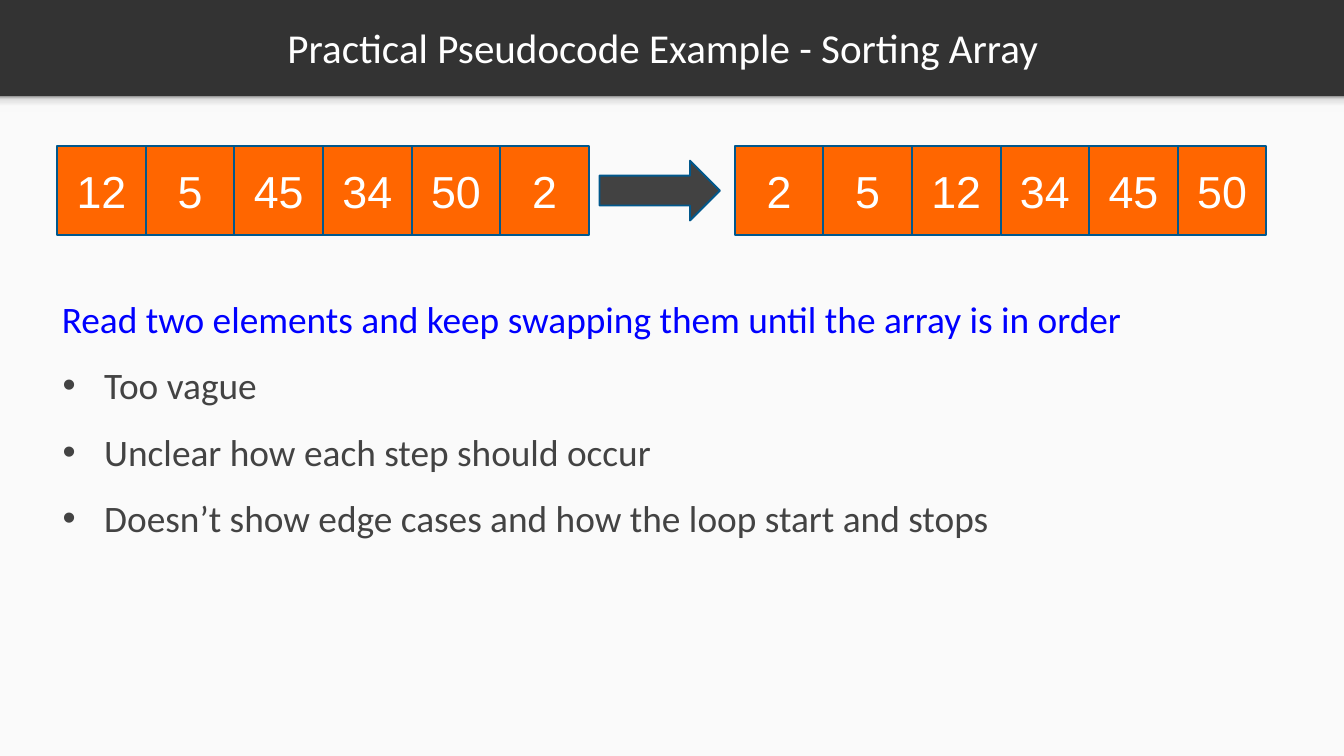
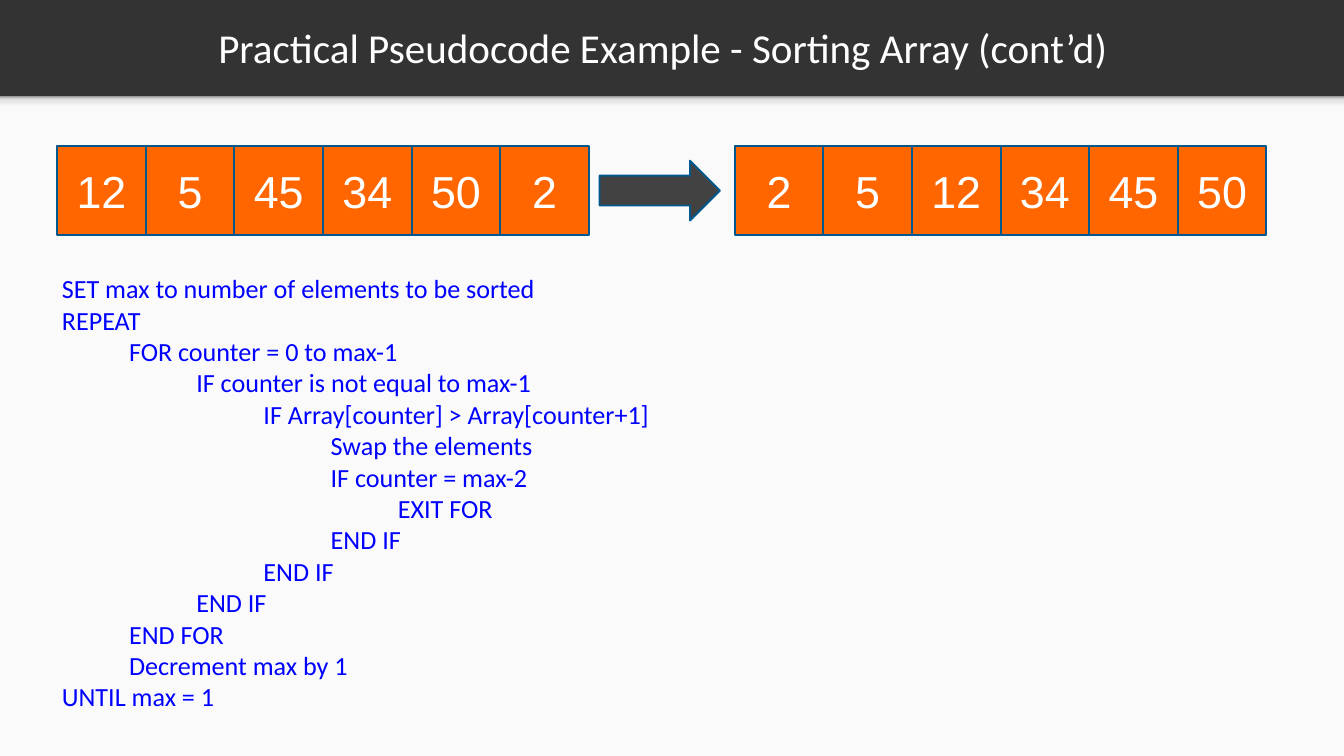
from dataclasses import dataclass

from lxml.etree import SubElement
from pptx import Presentation
from pptx.dml.color import RGBColor
from pptx.enum.shapes import MSO_SHAPE
from pptx.enum.text import MSO_ANCHOR, PP_ALIGN
from pptx.oxml.ns import qn
from pptx.util import Cm, Pt


@dataclass(frozen=True)
class Theme:
    """Colours, fonts and type sizes of the deck."""
    header: str = "333333"
    panel: str = "FAFAFA"
    white: str = "FFFFFF"
    pseudocode: str = "0000FF"
    bullet: str = "434343"
    cell: str = "FF6600"
    arrow: str = "424242"
    outline: str = "01588C"
    header_shadow: tuple = ((0, "F9F9F9"), (36, "F9F9F9"), (80, "DEDEDE"), (100, "999999"))
    text_font: str = "Calibri"
    cell_font: str = "Arial"
    title_size: int = 44
    body_size: int = 40
    code_size: int = 28
    cell_size: int = 48


WIDTH, HEIGHT = 50.8, 28.56
HEADER_HEIGHT = 3.66
CELL = 3.35
ARRAY_TOP = 5.52
TEXT_LEFT, TEXT_WIDTH = 1.27, 48.44
INSET = 0.51
MARGIN = 0.56
BULLET_MARGIN, BULLET_INDENT = 2.16, -1.57
CODE_STEP = 2.54

UNSORTED = [12, 5, 45, 34, 50, 2]
VAGUE_STEP = "Read two elements and keep swapping them until the array is in order"
PROBLEMS = [
    "Too vague",
    "Unclear how each step should occur",
    "Doesn’t show edge cases and how the loop start and stops",
]
PSEUDOCODE = [
    (0, "SET max to number of elements to be sorted"),
    (0, "REPEAT"),
    (1, "FOR counter = 0 to max-1"),
    (2, "IF counter is not equal to max-1"),
    (3, "IF Array[counter] > Array[counter+1]"),
    (4, "Swap the elements"),
    (4, "IF counter = max-2"),
    (5, "EXIT FOR"),
    (4, "END IF"),
    (3, "END IF"),
    (2, "END IF"),
    (1, "END FOR"),
    (1, "Decrement max by 1"),
    (0, "UNTIL max = 1"),
]


class Deck:
    """Holds the theme and the current slide, and draws each kind of element."""

    def __init__(self, theme):
        """Start an empty presentation."""
        self.theme = theme
        self.prs = Presentation()
        self.prs.slide_width, self.prs.slide_height = Cm(WIDTH), Cm(HEIGHT)

    def slide(self, title):
        """Add a slide with the header, the light panel and a title."""
        t = self.theme
        self.s = self.prs.slides.add_slide(self.prs.slide_layouts[6])
        fill = self.s.background.fill
        fill.solid()
        fill.fore_color.rgb = RGBColor.from_string(t.header)
        self.shape(MSO_SHAPE.RECTANGLE, 0, HEADER_HEIGHT, WIDTH, HEIGHT - HEADER_HEIGHT, t.panel)
        self.header_shadow()
        tf = self.text_box(MARGIN, 0.1, 49.02, CELL)
        tf.vertical_anchor = MSO_ANCHOR.MIDDLE
        tf.text = title
        tf.paragraphs[0].alignment = PP_ALIGN.CENTER
        self.style(tf.paragraphs[0], t.title_size, t.white)

    def shape(self, kind, left, top, width, height, fill, outline=None, parent=None):
        """Add a flat preset shape to the slide or to a group."""
        shapes = (parent or self.s).shapes
        sp = shapes.add_shape(kind, Cm(left), Cm(top), Cm(width), Cm(height))
        sp.shadow.inherit = False
        sp.fill.solid()
        sp.fill.fore_color.rgb = RGBColor.from_string(fill)
        if outline:
            sp.line.color.rgb = RGBColor.from_string(outline)
            sp.line.width = Pt(2)
        else:
            sp.line.fill.background()
        return sp

    def header_shadow(self):
        """Add the gradient strip under the header."""
        sp = self.shape(MSO_SHAPE.RECTANGLE, 0, 3.63, WIDTH, 0.61, self.theme.panel)
        sp.fill.gradient()
        sp.fill.gradient_angle = 90
        stops = sp.element.spPr.find(qn("a:gradFill")).find(qn("a:gsLst"))
        for stop in list(stops):
            stops.remove(stop)
        for position, colour in self.theme.header_shadow:
            stop = SubElement(stops, qn("a:gs"), pos=str(position * 1000))
            SubElement(stop, qn("a:srgbClr"), val=colour)

    def text_box(self, left, top, width, height):
        """Add a wrapping text box and return its text frame."""
        tf = self.s.shapes.add_textbox(Cm(left), Cm(top), Cm(width), Cm(height)).text_frame
        tf.word_wrap = True
        tf.margin_left = tf.margin_right = tf.margin_top = tf.margin_bottom = Cm(INSET)
        return tf

    def style(self, p, size, colour, font=None):
        """Format every run of a paragraph."""
        for r in p.runs:
            r.font.size = Pt(size)
            r.font.name = font or self.theme.text_font
            r.font.color.rgb = RGBColor.from_string(colour)

    def indent(self, p, margin, first=0):
        """Set the left margin and the first-line indent of a paragraph."""
        pPr = p._p.get_or_add_pPr()
        pPr.set("marL", str(Cm(margin)))
        pPr.set("indent", str(Cm(first)))
        return pPr

    def array(self, left, values):
        """Add a row of numbered cells as one group."""
        t = self.theme
        group = self.s.shapes.add_group_shape()
        for i, value in enumerate(values):
            sp = self.shape(MSO_SHAPE.RECTANGLE, left + i * CELL, ARRAY_TOP, CELL, CELL,
                            t.cell, t.outline, group)
            tf = sp.text_frame
            tf.vertical_anchor = MSO_ANCHOR.MIDDLE
            tf.text = str(value)
            tf.paragraphs[0].alignment = PP_ALIGN.CENTER
            self.style(tf.paragraphs[0], t.cell_size, t.white, t.cell_font)

    def sorting(self, values):
        """Show an array, an arrow and the sorted array."""
        self.array(2.16, values)
        self.array(27.77, sorted(values))
        self.shape(MSO_SHAPE.RIGHT_ARROW, 22.66, 6.07, 4.55, 2.26,
                   self.theme.arrow, self.theme.outline)

    def critique(self, lead, bullets):
        """Add a lead line followed by bullets."""
        t = self.theme
        tf = self.text_box(TEXT_LEFT, 10.42, TEXT_WIDTH, 16.38)
        tf.text = "\n".join([lead, *bullets])
        for i, p in enumerate(tf.paragraphs):
            p.line_spacing = 1.15
            p.space_after = Pt(16)
            if i == 0:
                self.indent(p, MARGIN)
            else:
                pPr = self.indent(p, BULLET_MARGIN, BULLET_INDENT)
                SubElement(SubElement(pPr, qn("a:buClr")), qn("a:srgbClr"), val=t.bullet)
                SubElement(pPr, qn("a:buFont"), typeface=t.cell_font)
                SubElement(pPr, qn("a:buChar"), char="•")
            self.style(p, t.body_size, t.bullet if i else t.pseudocode)

    def code(self, lines):
        """Add pseudocode lines indented by their nesting level."""
        tf = self.text_box(TEXT_LEFT, 9.79, TEXT_WIDTH, 18.69)
        tf.text = "\n".join(text for _, text in lines)
        for p, (level, _) in zip(tf.paragraphs, lines):
            self.indent(p, MARGIN + level * CODE_STEP)
            self.style(p, self.theme.code_size, self.theme.pseudocode)


def main():
    """Build both slides and save the deck."""
    deck = Deck(Theme())
    deck.slide("Practical Pseudocode Example - Sorting Array")
    deck.critique(VAGUE_STEP, PROBLEMS)
    deck.sorting(UNSORTED)
    deck.slide("Practical Pseudocode Example - Sorting Array (cont’d)")
    deck.code(PSEUDOCODE)
    deck.sorting(UNSORTED)
    deck.prs.save("out.pptx")


if __name__ == "__main__":
    main()
